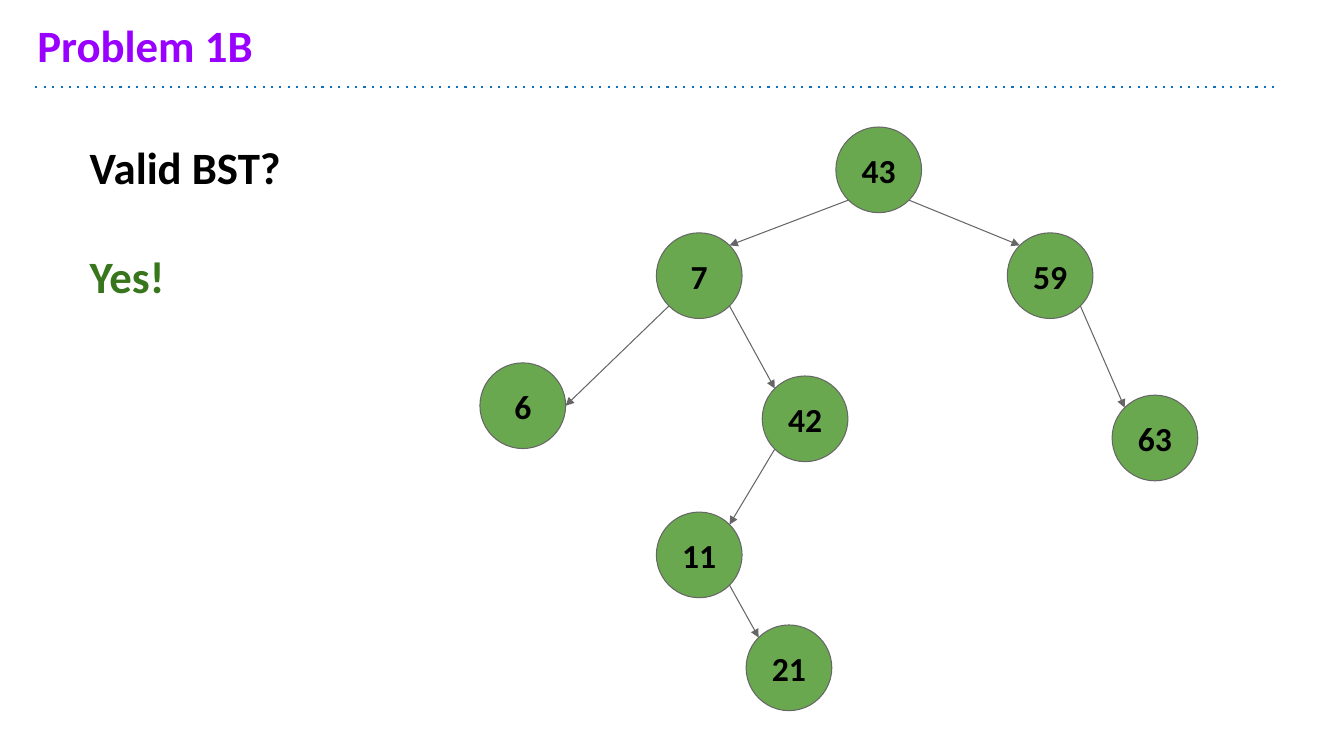
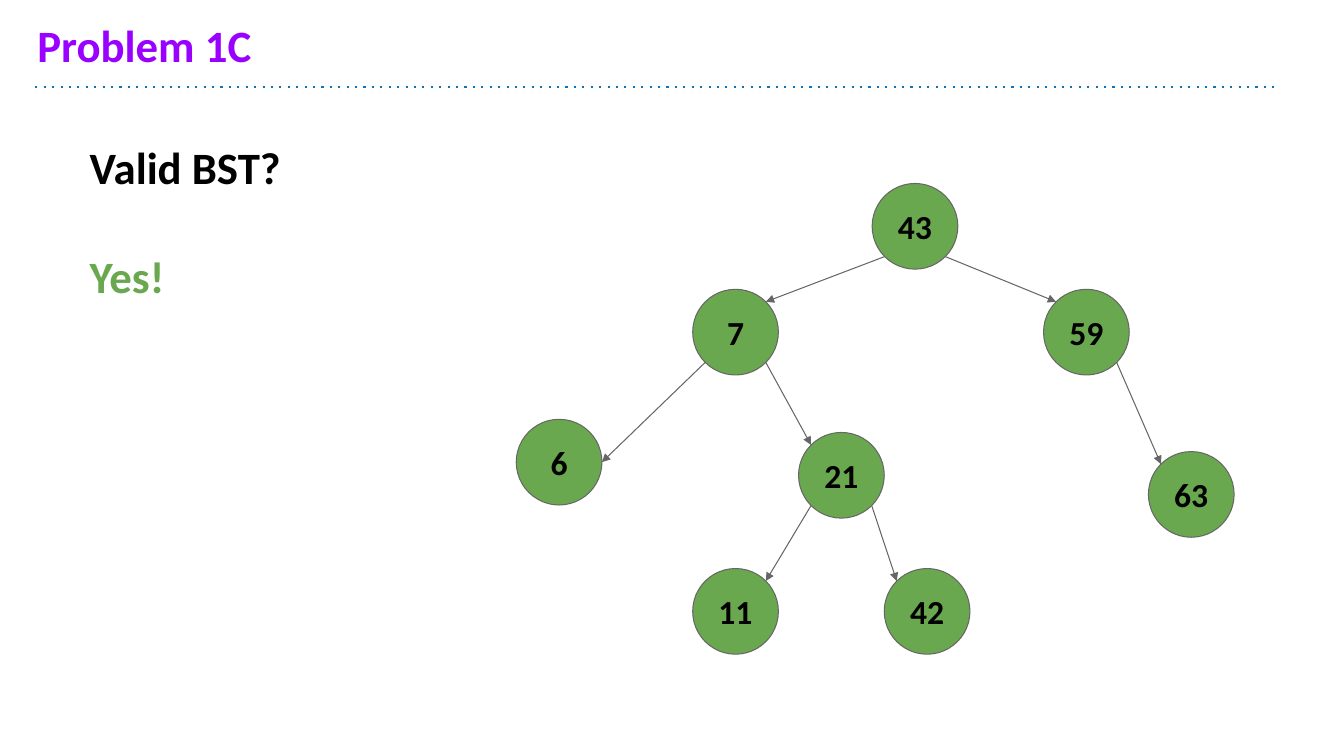
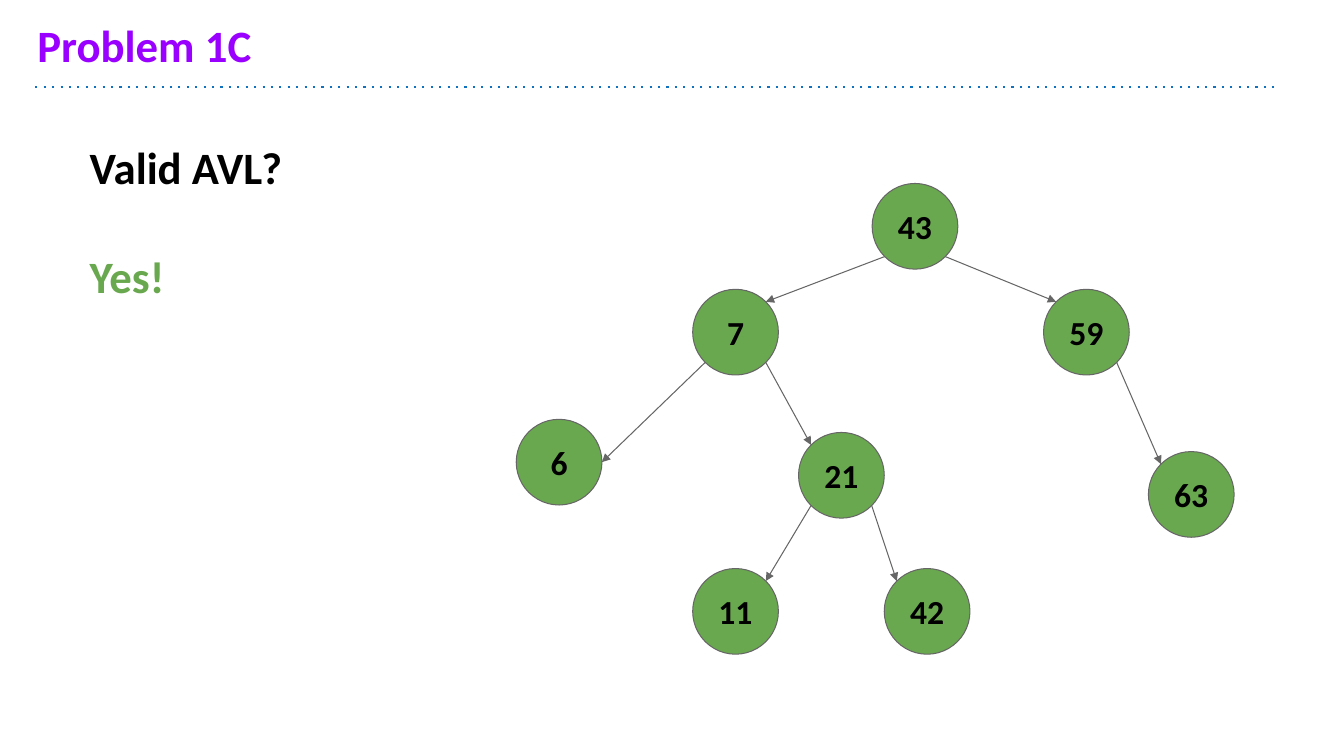
from lxml import etree
from pptx import Presentation
from pptx.dml.color import RGBColor
from pptx.enum import shapes, text
from pptx.oxml import ns
from pptx.util import Inches, Pt

PURPLE = RGBColor(0x99, 0x00, 0xFF)
BLUE = RGBColor(0x10, 0x72, 0xBD)
BLACK = RGBColor(0, 0, 0)
GRAY = RGBColor(0x66, 0x66, 0x66)
GREEN = RGBColor(0x6A, 0xA8, 0x4F)
FOREST = RGBColor(0x38, 0x76, 0x1D)

FONT = "Calibri"
PAD = 0.13
SIZE = 0.85
DIAG = SIZE / 2 * 0.5 ** 0.5

SPOTS = {
    "": (8.29, 1.26),
    "L": (6.51, 2.31),
    "R": (9.99, 2.31),
    "LL": (4.76, 3.6),
    "LR": (7.56, 3.73),
    "RR": (11.03, 3.92),
    "LRL": (6.51, 5.08),
    "LRR": (8.41, 5.08),
    "LRLR": (7.4, 6.2),
}
SIDE_ENTRY = {"LL"}

TOP = {"": 43, "L": 7, "R": 59, "LL": 6, "RR": 63}
DEEP = {**TOP, "LR": 42, "LRL": 11, "LRLR": 21}
EVEN = {**TOP, "LR": 21, "LRL": 11, "LRR": 42}

SLIDES = [
    ("Problem 1B", "Valid BST?", FOREST, 2.19, DEEP, (0, 0)),
    ("Problem 1C", "Valid BST?", GREEN, 1.95, EVEN, (0.36, 0.56)),
    ("Problem 1C", "Valid AVL?", GREEN, 1.34, EVEN, (0.36, 0.56)),
]


def style(para, size, color):
    font = para.font
    font.name, font.size, font.bold = FONT, Pt(size), True
    font.color.rgb = color


def frame(shape, anchor):
    body = shape.text_frame
    body.word_wrap = True
    body.auto_size = text.MSO_AUTO_SIZE.NONE
    body.vertical_anchor = anchor
    body.margin_left = body.margin_right = Inches(PAD)
    body.margin_top = body.margin_bottom = Inches(PAD)
    return body


def draw_line(slide, start, end, color, width, tag, **attrs):
    line = slide.shapes.add_connector(
        shapes.MSO_CONNECTOR.STRAIGHT, *map(Inches, start + end))
    line.line.color.rgb = color
    line.line.width = Pt(width)
    props = line.element.spPr
    etree.SubElement(props.find(ns.qn("a:ln")), ns.qn(tag), **attrs)
    etree.SubElement(props, ns.qn("a:effectLst"))


def add_head(slide, title):
    draw_line(slide, (0.35, 0.86), (12.67, 0.86), BLUE, 1.5,
              "a:prstDash", val="dot")
    head = slide.shapes.title
    head.left, head.top = Inches(0.24), Inches(0.13)
    head.width, head.height = Inches(12), Inches(0.72)
    body = frame(head, text.MSO_ANCHOR.BOTTOM)
    body.text = title
    para = body.paragraphs[0]
    para.alignment = text.PP_ALIGN.LEFT
    para.line_spacing = 0.9
    style(para, 32, PURPLE)


def add_quiz(slide, ask, color, height):
    box = slide.shapes.add_textbox(
        *map(Inches, (0.76, 1.26, 3.37, height)))
    body = frame(box, text.MSO_ANCHOR.TOP)
    body.text = ask + "\nYes!"
    first, last = body.paragraphs
    style(first, 32, BLACK)
    style(last, 32, color)
    last.space_before = Pt(39)


def add_node(slide, key, x, y):
    node = slide.shapes.add_shape(
        shapes.MSO_SHAPE.OVAL, *map(Inches, (x, y, SIZE, SIZE)))
    node.shadow.inherit = False
    node.fill.solid()
    node.fill.fore_color.rgb = GREEN
    node.line.color.rgb = GRAY
    node.line.width = Pt(0.75)
    body = frame(node, text.MSO_ANCHOR.MIDDLE)
    body.text = str(key)
    para = body.paragraphs[0]
    para.alignment = text.PP_ALIGN.CENTER
    style(para, 24, BLACK)


def add_tree(slide, tree, shift):
    spots = {n: (SPOTS[n][0] + shift[0], SPOTS[n][1] + shift[1])
             for n in tree}
    mids = {n: (x + SIZE / 2, y + SIZE / 2) for n, (x, y) in spots.items()}
    for name, key in tree.items():
        add_node(slide, key, *spots[name])
    for name in tree:
        if not name:
            continue
        sign = -1 if name[-1] == "L" else 1
        px, py = mids[name[:-1]]
        cx, cy = mids[name]
        dx, dy = (SIZE / 2, 0) if name in SIDE_ENTRY else (DIAG, DIAG)
        draw_line(slide, (px + sign * DIAG, py + DIAG),
                  (cx - sign * dx, cy - dy), GRAY, 0.75,
                  "a:tailEnd", type="triangle")


def main():
    deck = Presentation()
    deck.slide_width, deck.slide_height = Inches(13.33), Inches(7.5)
    for title, ask, color, height, tree, shift in SLIDES:
        slide = deck.slides.add_slide(deck.slide_layouts[5])
        add_head(slide, title)
        add_quiz(slide, ask, color, height)
        add_tree(slide, tree, shift)
    deck.save("out.pptx")


if __name__ == "__main__":
    main()
